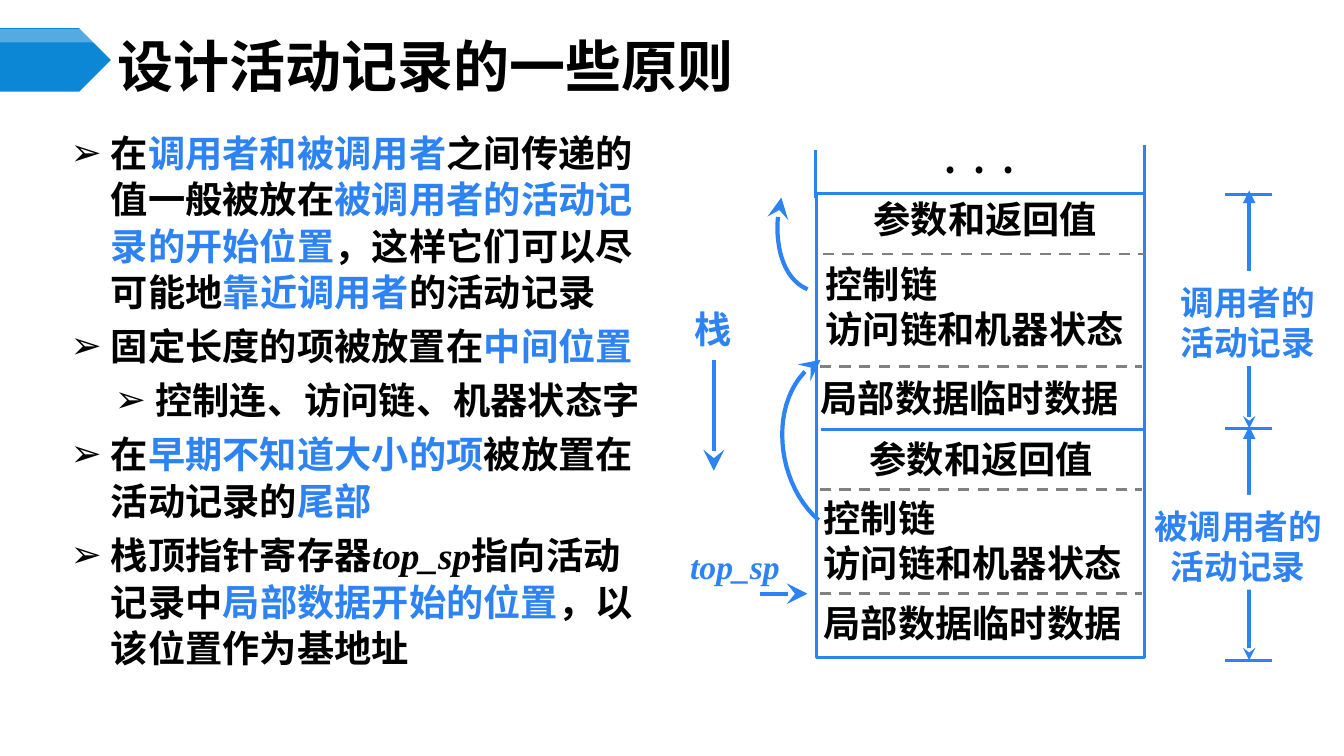
from lxml.etree import SubElement
from pptx import Presentation
from pptx.dml.color import RGBColor
from pptx.enum.dml import MSO_LINE
from pptx.enum.shapes import MSO_CONNECTOR, MSO_SHAPE
from pptx.enum.text import MSO_ANCHOR, MSO_AUTO_SIZE, PP_ALIGN
from pptx.oxml.ns import qn
from pptx.util import Inches, Pt

BLACK = RGBColor(0, 0, 0)
WHITE = RGBColor(0xFF, 0xFF, 0xFF)
GRAY = RGBColor(0x80, 0x80, 0x80)
BLUE = RGBColor(0x2D, 0x83, 0xF4)
BANNER_BLUE = RGBColor(0x0B, 0x87, 0xD6)
SANS = "Noto Sans CJK SC"
SERIF = "Times New Roman"
BODY_SIZE, LABEL_SIZE = 26.65, 24

# Each bullet: level, then (text, colour) spans
BULLETS = [
    (0, [("在", BLACK), ("调用者和被调用者", BLUE), ("之间传递的值一般被放在", BLACK),
         ("被调用者的活动记录的开始位置", BLUE), ("，这样它们可以尽可能地", BLACK),
         ("靠近调用者", BLUE), ("的活动记录", BLACK)]),
    (0, [("固定长度的项被放置在", BLACK), ("中间位置", BLUE)]),
    (1, [("控制连、访问链、机器状态字", BLACK)]),
    (0, [("在", BLACK), ("早期不知道大小的项", BLUE), ("被放置在活动记录的", BLACK),
         ("尾部", BLUE)]),
    (0, [("栈顶指针寄存器", BLACK), ("top_sp", BLACK), ("指向活动记录中", BLACK),
         ("局部数据开始的位置", BLUE), ("，以该位置作为基地址", BLACK)]),
]


def style_span(span, size, color):
    """Bold text; the register name is set in serif italics."""
    is_register = span.text == "top_sp"
    font = span.font
    font.size, font.bold, font.italic = Pt(size), True, is_register
    font.color.rgb = color
    font.name = SERIF if is_register else SANS
    SubElement(span._r.get_or_add_rPr(), qn("a:ea")).set("typeface", font.name)


def set_frame(frame, margins, anchor=MSO_ANCHOR.TOP):
    frame.word_wrap = True
    frame.auto_size = MSO_AUTO_SIZE.NONE
    frame.vertical_anchor = anchor
    (frame.margin_left, frame.margin_top,
     frame.margin_right, frame.margin_bottom) = map(Inches, margins)


def write(shape, text, size, color, align, anchor=MSO_ANCHOR.TOP):
    frame = shape.text_frame
    set_frame(frame, (0.1, 0.12, 0.1, 0.05), anchor)
    frame.text = text
    for para in frame.paragraphs:
        para.alignment = align
        for span in para.runs:
            style_span(span, size, color)


def add_label(page, box, text, size=BODY_SIZE, color=BLACK, align=PP_ALIGN.CENTER):
    write(page.shapes.add_textbox(*map(Inches, box)), text, size, color, align)


def add_plain_shape(page, preset, box, fill=None):
    shape = page.shapes.add_shape(preset, *map(Inches, box))
    shape.shadow.inherit = False
    if fill is None:
        shape.fill.background()
    else:
        shape.fill.solid()
        shape.fill.fore_color.rgb = fill
    shape.line.fill.background()
    return shape


def style_line(line, color, width, head=None, tail=None, head_size="med"):
    line.color.rgb = color
    line.width = Pt(width)
    for tag, kind, size in (("a:headEnd", head, head_size), ("a:tailEnd", tail, "med")):
        if kind:
            end = SubElement(line._get_or_add_ln(), qn(tag))
            for name, value in (("type", kind), ("w", size), ("len", size)):
                end.set(name, value)


def add_line(page, start, end, color=BLUE, width=2, dashed=False, **ends):
    line = page.shapes.add_connector(
        MSO_CONNECTOR.STRAIGHT, *map(Inches, (*start, *end)))
    SubElement(line._element.spPr, qn("a:effectLst"))
    if dashed:
        line.line.dash_style = MSO_LINE.DASH
    style_line(line.line, color, width, **ends)


def add_banner(page, left, top, width, height):
    add_plain_shape(page, MSO_SHAPE.PENTAGON, (left, top, width, height), BANNER_BLUE)
    shine = add_plain_shape(
        page, MSO_SHAPE.PENTAGON, (left, top + 0.01, width, 0.13), WHITE)
    color = shine._element.spPr.find(".//" + qn("a:srgbClr"))
    SubElement(color, qn("a:alpha")).set("val", "30000")


def add_title(page, box, text):
    title = page.shapes.title
    title.left, title.top, title.width, title.height = map(Inches, box)
    frame = title.text_frame
    set_frame(frame, (0.07, 0.04, 0.07, 0.04), MSO_ANCHOR.MIDDLE)
    frame.text = text
    para = frame.paragraphs[0]
    para.alignment = PP_ALIGN.LEFT
    style_span(para.runs[0], 40, BLACK)


def add_principles(page, box):
    frame = page.shapes.add_textbox(*map(Inches, box)).text_frame
    set_frame(frame, (0.07, 0.04, 0.07, 0.04))
    for index, (level, spans) in enumerate(BULLETS):
        para = frame.add_paragraph() if index else frame.paragraphs[0]
        para.level = level
        para.line_spacing = Pt(33.3)
        para.space_before = Pt(5.3)
        properties = para._p.get_or_add_pPr()
        properties.set("marL", str(Inches(0.4 + 0.44 * level)))
        properties.set("indent", str(Inches(-0.4)))
        SubElement(properties, qn("a:buFont")).set("typeface", "Arial")
        SubElement(properties, qn("a:buChar")).set("char", "➢")
        for text, color in spans:
            span = para.add_run()
            span.text = text
            style_span(span, BODY_SIZE, color)


def add_stack(page, left, top, width, height):
    """Two activation records, one above the other, below an open top."""
    right = left + width
    frame = add_plain_shape(page, MSO_SHAPE.RECTANGLE, (left, top, width, height))
    style_line(frame.line, BLUE, 2)

    # Open top
    add_line(page, (left - 0.01, top + 0.04), (left - 0.01, top - 0.43))
    add_line(page, (right, top), (right, top - 0.48))
    add_label(page, (left + 0.1, top - 0.69, 3.04, 0.71), ".  .  .")

    # Dividers: shift to the right, distance from the top, dashed
    for shift, drop, dashed in ((0.06, 0.6, True), (0.03, 1.72, True),
                                (0.04, 2.34, False), (0.03, 2.94, True),
                                (0.03, 3.97, True)):
        add_line(page, (left + shift, top + drop), (left + shift + 3.2, top + drop),
                 GRAY if dashed else BLUE, dashed=dashed)

    # Fields: shift, distance from the top, width, text, alignment
    parameters, data = "参数和返回值", "局部数据临时数据"
    links = "控制链\n访问链和机器状态"
    for shift, drop, span_width, text, align in (
            (0.1, -0.09, 3.15, parameters, PP_ALIGN.CENTER),
            (-0.01, 0.55, 4.72, links, PP_ALIGN.LEFT),
            (-0.06, 1.68, 3.54, data, PP_ALIGN.LEFT),
            (0.13, 2.29, 3.01, parameters, PP_ALIGN.CENTER),
            (-0.03, 2.87, 3.79, links, PP_ALIGN.LEFT),
            (-0.03, 3.91, 3.54, data, PP_ALIGN.LEFT)):
        add_label(page, (left + shift, top + drop, span_width, 0.71), text, align=align)


def add_link_curve(page, left, top, controls, steps=24):
    """Cubic curve through four control points, with its arrowhead at the first."""
    points = []
    for step in range(steps + 1):
        t = step / steps
        weights = ((1 - t) ** 3, 3 * t * (1 - t) ** 2, 3 * t * t * (1 - t), t ** 3)
        x = left + sum(weight * point[0] for weight, point in zip(weights, controls))
        y = top + sum(weight * point[1] for weight, point in zip(weights, controls))
        points.append((Inches(x), Inches(y)))
    builder = page.shapes.build_freeform(*points[0])
    builder.add_line_segments(points[1:], close=False)
    curve = builder.convert_to_shape()
    curve.shadow.inherit = False
    curve.fill.background()
    style_line(curve.line, BLUE, 3, head="stealth", head_size="lg")


def add_pointers(page, left, top):
    """Links, stack direction and register, left of the stack."""
    add_link_curve(page, left, top, ((1.19, 0.07), (1.1, 0.41), (1.16, 0.86), (1.45, 0.98)))
    add_link_curve(page, left, top, ((1.58, 1.68), (1.06, 1.96), (1.09, 2.86), (1.56, 3.27)))
    add_label(page, (left + 0.1, top + 1.03, 0.83, 0.71), "栈", color=BLUE)
    add_label(page, (left, top + 3.41, 1.46, 0.71), "top_sp", LABEL_SIZE, BLUE)
    for start, end in (((0.52, 2.78), (0.52, 1.68)), ((1.45, 4), (0.98, 4))):
        add_line(page, (left + start[0], top + start[1]), (left + end[0], top + end[1]),
                 width=3, head="stealth", head_size="lg")


def add_extents(page, center, top, middle, bottom):
    """Dimension arrows that name the two records."""
    for start, end, text, label_box in (
            (top - 0.04, middle, "调用者的活动记录", (center - 0.86, 2.69, 1.69, 0.94)),
            (middle - 0.02, bottom, "被调用者的活动记录",
             (center - 1.15, 4.91, 2.08, 0.94))):
        add_line(page, (center, end), (center, start), width=3,
                 head="stealth", tail="triangle")
        label = add_plain_shape(page, MSO_SHAPE.RECTANGLE, label_box, WHITE)
        write(label, text, LABEL_SIZE, BLUE, PP_ALIGN.CENTER, MSO_ANCHOR.MIDDLE)
    for level in (top, middle, bottom):
        add_line(page, (center + 0.23, level), (center - 0.24, level))


def main():
    deck = Presentation()
    deck.slide_width, deck.slide_height = Inches(13.33), Inches(7.5)
    page = deck.slides.add_slide(deck.slide_layouts[5])
    add_banner(page, 0, 0.28, 1.1, 0.63)
    add_title(page, (1.1, 0.39, 11.56, 0.52), "设计活动记录的一些原则")
    add_principles(page, (0.63, 1.23, 5.94, 5.98))
    # The stack's right side lies over the white label boxes
    add_extents(page, 12.39, 1.93, 4.25, 6.55)
    add_stack(page, 8.1, 1.92, 3.25, 4.6)
    add_pointers(page, 6.56, 1.89)
    deck.save("out.pptx")


if __name__ == "__main__":
    main()
